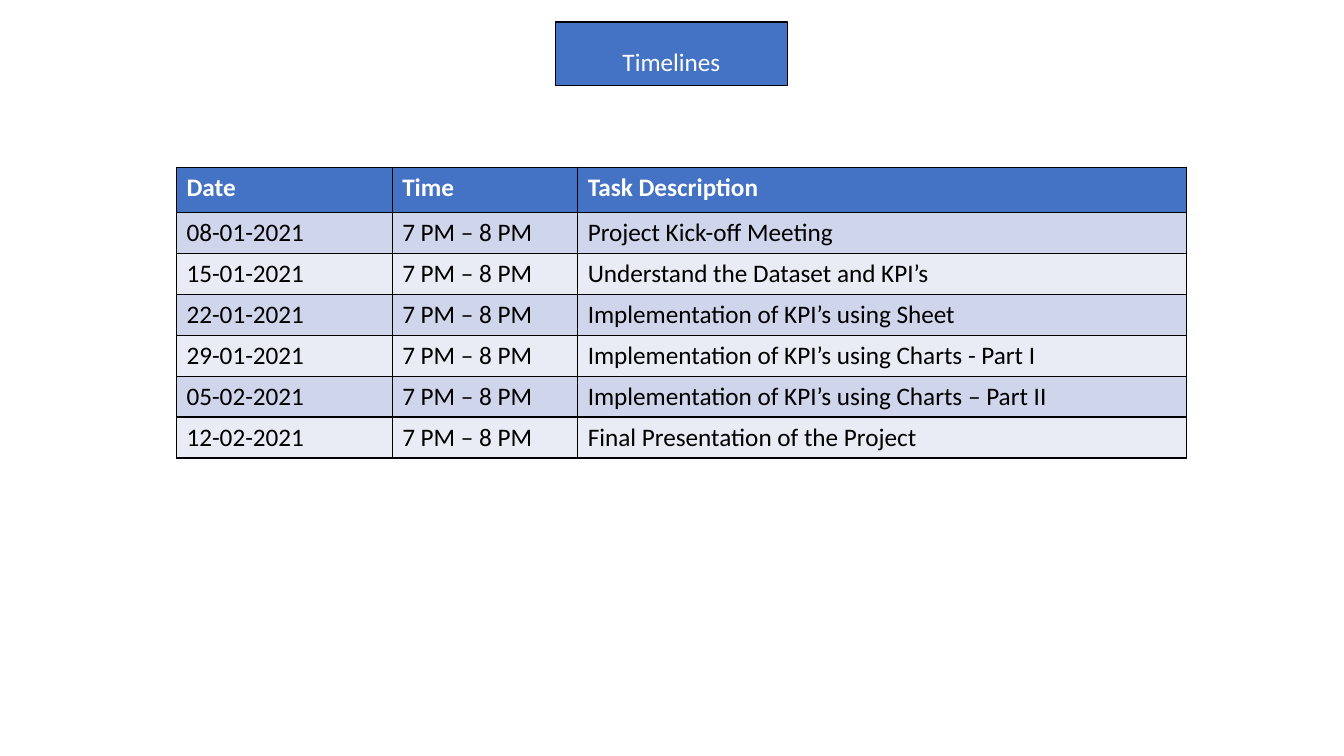
"""Build the project timelines slide."""
import dataclasses

import pptx
import pptx.dml.color
import pptx.enum.text
import pptx.oxml
import pptx.oxml.ns
import pptx.util

Inches = pptx.util.Inches

TITLE = "Timelines"
HEADINGS = ("Date", "Time", "Task Description")
HOURS = "7 PM – 8 PM"
TASKS = [
    ("08-01-2021", "Project Kick-off Meeting"),
    ("15-01-2021", "Understand the Dataset and KPI’s"),
    ("22-01-2021", "Implementation of KPI’s using Sheet"),
    ("29-01-2021", "Implementation of KPI’s using Charts - Part I"),
    ("05-02-2021", "Implementation of KPI’s using Charts – Part II"),
    ("12-02-2021", "Final Presentation of the Project"),
]
COLUMN_WIDTHS = (2.14, 1.84, 6.04)
HEADER_HEIGHT, ROW_HEIGHT = 0.45, 0.405


@dataclasses.dataclass(frozen=True)
class Theme:
    font: str = "Calibri"
    size: int = 18
    accent: str = "4472C4"
    light: str = "FFFFFF"
    dark: str = "000000"
    bands: tuple = ("CFD5EA", "E9EBF5")
    line: int = 1


THEME = Theme()


def rgb(value):
    return pptx.dml.color.RGBColor.from_string(value)


def fill_solid(target, color):
    target.fill.solid()
    target.fill.fore_color.rgb = rgb(color)


def write_text(frame, text, color=THEME.dark, bold=False, align=None, spacing=None):
    para = frame.paragraphs[0]
    para.alignment = align
    para.line_spacing = spacing
    span = para.add_run()
    span.text = text
    span.font.name = THEME.font
    span.font.size = pptx.util.Pt(THEME.size)
    span.font.bold = bold
    span.font.color.rgb = rgb(color)


def add_borders(cell):
    properties = cell._tc.get_or_add_tcPr()
    for index, side in enumerate(("lnL", "lnR", "lnT", "lnB")):
        border = pptx.oxml.parse_xml(
            f'<a:{side} {pptx.oxml.ns.nsdecls("a")} w="{pptx.util.Pt(THEME.line)}">'
            f'<a:solidFill><a:srgbClr val="{THEME.dark}"/></a:solidFill></a:{side}>'
        )
        properties.insert(index, border)


def add_title(page):
    box = page.shapes.title
    box.left, box.top = Inches(5.51), Inches(0.22)
    box.width, box.height = Inches(2.3), Inches(0.63)
    fill_solid(box, THEME.accent)
    box.line.color.rgb = rgb(THEME.dark)
    box.line.width = pptx.util.Pt(THEME.line)
    frame = box.text_frame
    frame.word_wrap = True
    frame.auto_size = pptx.enum.text.MSO_AUTO_SIZE.NONE
    frame.vertical_anchor = pptx.enum.text.MSO_ANCHOR.MIDDLE
    write_text(frame, TITLE, color=THEME.light,
               align=pptx.enum.text.PP_ALIGN.CENTER, spacing=1.5)


def add_schedule(page):
    rows = [HEADINGS] + [(date, HOURS, task) for date, task in TASKS]
    heights = [HEADER_HEIGHT] + [ROW_HEIGHT] * len(TASKS)
    table = page.shapes.add_table(
        len(rows), len(HEADINGS), Inches(1.75), Inches(1.66),
        Inches(sum(COLUMN_WIDTHS)), Inches(sum(heights)),
    ).table
    for column, width in zip(table.columns, COLUMN_WIDTHS):
        column.width = Inches(width)
    for index, (texts, height) in enumerate(zip(rows, heights)):
        header = index == 0
        table.rows[index].height = Inches(height)
        for cell, text in zip(table.rows[index].cells, texts):
            fill_solid(cell, THEME.accent if header else THEME.bands[(index - 1) % 2])
            add_borders(cell)
            write_text(cell.text_frame, text, bold=header,
                       color=THEME.light if header else THEME.dark)


deck = pptx.Presentation()
deck.slide_width, deck.slide_height = Inches(13.33), Inches(7.5)
page = deck.slides.add_slide(deck.slide_layouts[5])
add_schedule(page)
add_title(page)
deck.save("out.pptx")
